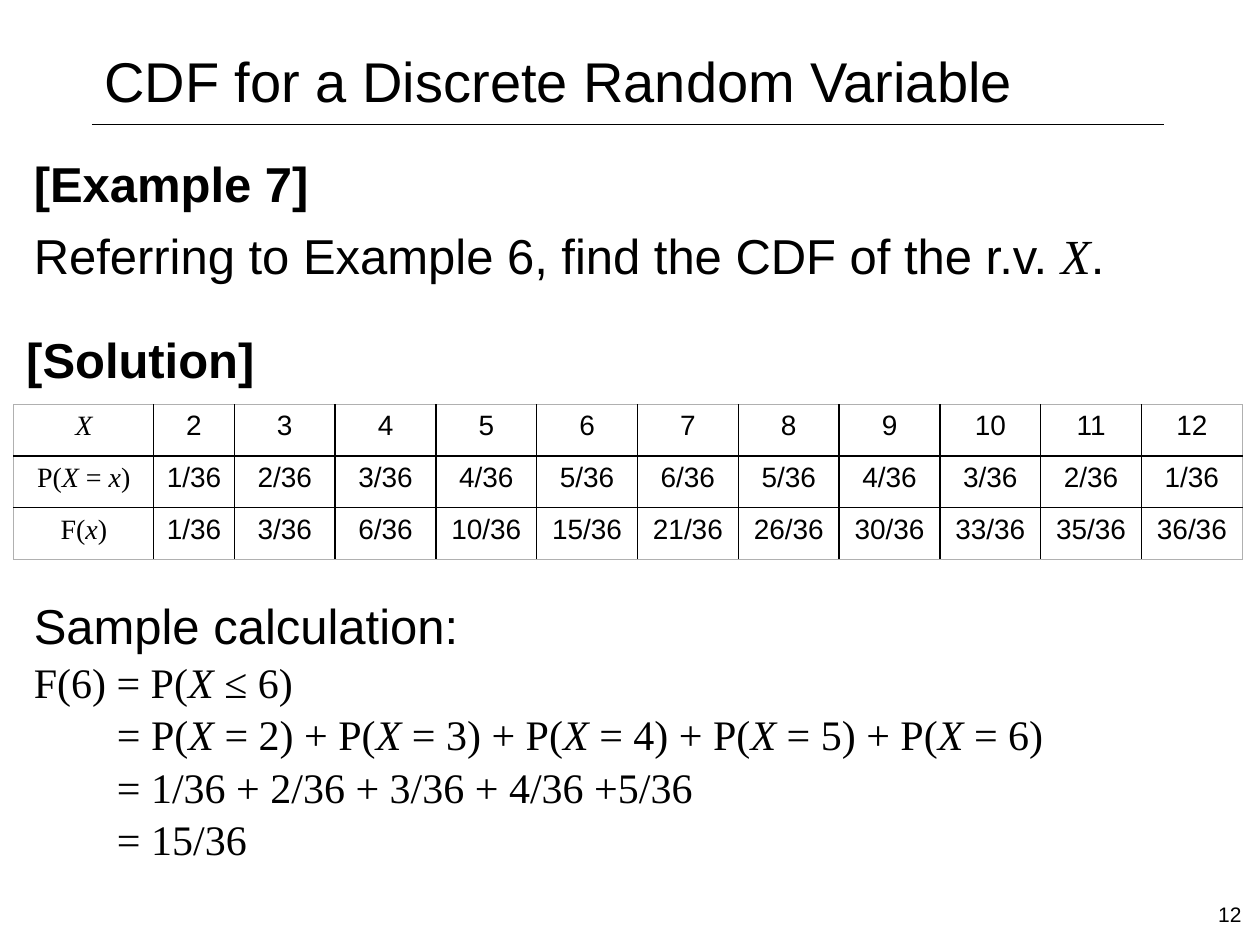
from itertools import accumulate

from lxml.etree import SubElement
from pptx import Presentation
from pptx.dml.color import RGBColor
from pptx.enum.shapes import MSO_CONNECTOR
from pptx.enum.text import MSO_ANCHOR, PP_ALIGN
from pptx.oxml.ns import qn
from pptx.util import Inches, Pt

BLACK = RGBColor(0x00, 0x00, 0x00)
GRAY = RGBColor(0xB0, 0xB0, 0xB0)
SANS, SERIF = "Arial", "Times New Roman"

# Content: a paragraph is a list of runs (text, font, italic)
def sans(text):
    return [(text, SANS, False)]


def math(text):
    """Serif runs; the parts between asterisks are italic."""
    return [(part, SERIF, index % 2 == 1)
            for index, part in enumerate(text.split("*")) if part]


TITLE = sans("CDF for a Discrete Random Variable")
EXAMPLE = sans("[Example 7]")
QUESTION = sans("Referring to Example 6, find the CDF of the r.v. ") + math("*X*") + sans(".")
SOLUTION = sans("[Solution]")
SAMPLE = sans("Sample calculation:")
FIRST_STEP = math("F(6) = P(*X* ≤ 6)")
NEXT_STEPS = [
    math("= P(*X* = 2) + P(*X* = 3) + P(*X* = 4) + P(*X* = 5) + P(*X* = 6)"),
    math("= 1/36 + 2/36 + 3/36 + 4/36 +5/36"),
    math("= 15/36"),
]
PAGE_NUMBER = sans("12")

VALUES = list(range(2, 13))
COUNTS = [1, 2, 3, 4, 5, 6, 5, 4, 3, 2, 1]
TABLE_ROWS = [
    [math("*X*")] + [sans(str(value)) for value in VALUES],
    [math("P(*X* = *x*)")] + [sans(f"{count}/36") for count in COUNTS],
    [math("F(*x*)")] + [sans(f"{total}/36") for total in accumulate(COUNTS)],
]
COLUMN_WIDTHS = [1.11, 0.64] + [0.8] * 10
ROW_HEIGHT = 0.41


def write(paragraph, runs, size, bold=False):
    for text, font, italic in runs:
        run = paragraph.add_run()
        run.text = text
        run.font.name = font
        run.font.size = Pt(size)
        run.font.bold = bold
        run.font.italic = italic
        run.font.color.rgb = BLACK


def add_text(slide, box, paragraphs, anchor=MSO_ANCHOR.TOP):
    """Each paragraph is (runs, size, bold, space before, left indent)."""
    text_frame = slide.shapes.add_textbox(*map(Inches, box)).text_frame
    text_frame.word_wrap = True
    text_frame.vertical_anchor = anchor
    for index, (runs, size, bold, space, indent) in enumerate(paragraphs):
        paragraph = text_frame.add_paragraph() if index else text_frame.paragraphs[0]
        paragraph.space_before = Pt(space)
        paragraph.line_spacing = 1.04
        if indent:
            paragraph._p.get_or_add_pPr().set("marL", str(Inches(indent)))
        write(paragraph, runs, size, bold)


def set_border(cell, side, color, width):
    line = SubElement(cell._tc.get_or_add_tcPr(), qn(f"a:{side}"), w=str(Pt(width)))
    fill = SubElement(line, qn("a:solidFill"))
    SubElement(fill, qn("a:srgbClr"), val=str(color))


def add_probability_table(slide, left, top):
    row_count, column_count = len(TABLE_ROWS), len(COLUMN_WIDTHS)
    table = slide.shapes.add_table(
        row_count, column_count, Inches(left), Inches(top),
        Inches(sum(COLUMN_WIDTHS)), Inches(ROW_HEIGHT * row_count)).table
    table.first_row = table.horz_banding = False
    for column, width in zip(table.columns, COLUMN_WIDTHS):
        column.width = Inches(width)
    for r, row in enumerate(TABLE_ROWS):
        table.rows[r].height = Inches(ROW_HEIGHT)
        for c, runs in enumerate(row):
            cell = table.cell(r, c)
            paragraph = cell.text_frame.paragraphs[0]
            paragraph.alignment = PP_ALIGN.CENTER
            write(paragraph, runs, 16)
            # Black inner grid, thin gray outer frame
            outer = {"lnL": c == 0, "lnR": c == column_count - 1,
                     "lnT": r == 0, "lnB": r == row_count - 1}
            for side, on_edge in outer.items():
                set_border(cell, side, *((GRAY, 0.5) if on_edge else (BLACK, 1)))
            cell.fill.background()


def main():
    presentation = Presentation()
    presentation.slide_width, presentation.slide_height = Inches(10), Inches(7.5)
    slide = presentation.slides.add_slide(presentation.slide_layouts[6])

    # Title and rule
    rule = slide.shapes.add_connector(
        MSO_CONNECTOR.STRAIGHT, Inches(0.73), Inches(0.99), Inches(9.24), Inches(0.99))
    rule.line.color.rgb = BLACK
    rule.line.width = Pt(0.25)
    SubElement(rule._element.spPr, qn("a:effectLst"))
    add_text(slide, (0.73, 0.29, 8.12, 0.66), [(TITLE, 32, False, 0, 0)], MSO_ANCHOR.BOTTOM)

    # Example
    add_text(slide, (0.17, 1.15, 9.63, 1.2),
             [(EXAMPLE, 28, True, 0, 0), (QUESTION, 28, False, 6, 0)])

    # Solution
    add_probability_table(slide, 0.11, 3.21)
    add_text(slide, (0.17, 4.66, 9.74, 2.19),
             [(SAMPLE, 28, False, 0, 0), (FIRST_STEP, 24, False, 0, 0)]
             + [(step, 24, False, 0, 0.66) for step in NEXT_STEPS])
    add_text(slide, (0.11, 2.55, 2.68, 0.57), [(SOLUTION, 28, True, 0, 0)])

    # Page number
    add_text(slide, (9.57, 7.1, 0.43, 0.4), [(PAGE_NUMBER, 12, False, 0, 0)])

    presentation.save("out.pptx")


if __name__ == "__main__":
    main()
